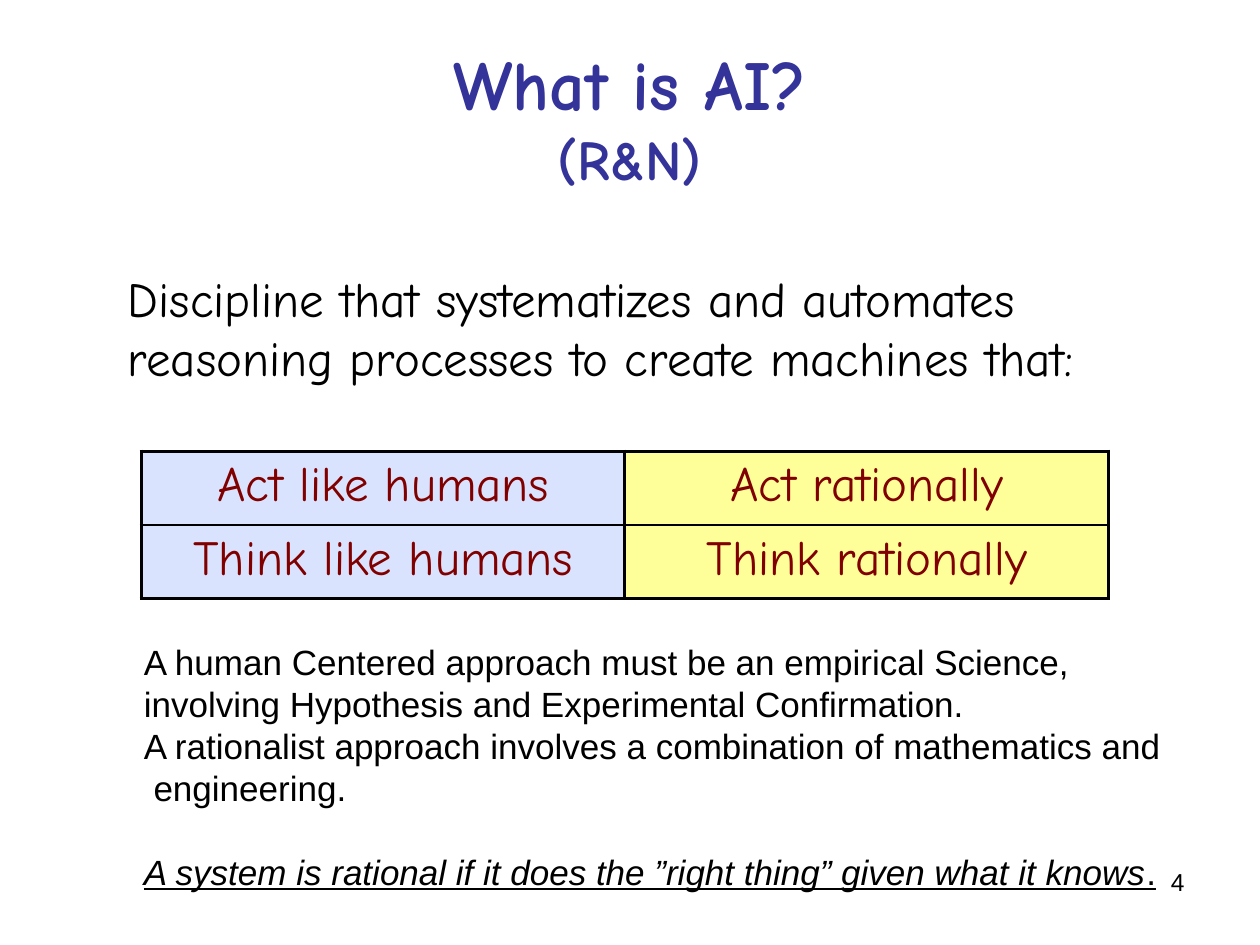
import pptx
import pptx.util
import pptx.dml.color
import pptx.enum.shapes
import pptx.enum.text
import pptx.oxml.ns
from lxml import etree

Cm = pptx.util.Cm
Pt = pptx.util.Pt
RGBColor = pptx.dml.color.RGBColor
ALIGN = pptx.enum.text.PP_ALIGN
qn = pptx.oxml.ns.qn

BLACK = RGBColor(0, 0, 0)
NAVY = RGBColor(0x33, 0x33, 0x99)
MAROON = RGBColor(0x80, 0, 0)
PALE_BLUE = RGBColor(0xDA, 0xE3, 0xFE)
PALE_YELLOW = RGBColor(0xFF, 0xFF, 0x99)
HAND = "Comic Neue"
SANS = "Arial"

TITLE = [("What is AI?", 40), ("(R&N)", 32)]
INTRO = ("Discipline that systematizes and automates reasoning processes "
         "to create machines that:")
GRID = [["Act like humans", "Act rationally"],
        ["Think like humans", "Think rationally"]]
NOTES = ["A human Centered approach must be an empirical Science,",
         "involving Hypothesis and Experimental Confirmation.",
         "A rationalist approach involves a combination of mathematics and",
         " engineering."]
DEFINITION = "A system is rational if it does the ”right thing” given what it knows"
PAGE_NUMBER = "4"

GRID_LEFT, GRID_TOP = 2.85, 9.1
COLUMN_WIDTH = 9.75
ROW_HEIGHTS = [1.48, 1.49]
PANELS = [(2.87, 9.7, PALE_BLUE), (12.57, 9.78, PALE_YELLOW)]
OUTER, INNER = 2.25, 1


def add_span(para, text, size, font=SANS, color=BLACK, bold=False):
    span = para.add_run()
    span.text = text
    span.font.size = Pt(size)
    span.font.name = font
    span.font.bold = bold
    span.font.color.rgb = color
    return span


def add_box(page, left, top, width, height):
    frame = page.shapes.add_textbox(Cm(left), Cm(top), Cm(width), Cm(height)).text_frame
    frame.word_wrap = True
    return frame


def set_borders(cell, widths):
    """Draw black borders; widths maps each side tag to points."""
    properties = cell._tc.get_or_add_tcPr()
    for position, (side, width) in enumerate(widths.items()):
        line = etree.Element(qn("a:" + side), w=str(Pt(width)))
        fill = etree.SubElement(line, qn("a:solidFill"))
        etree.SubElement(fill, qn("a:srgbClr"), val=str(BLACK))
        properties.insert(position, line)


def add_title(page):
    title = page.shapes.title
    title.left, title.top, title.width, title.height = Cm(1.27), Cm(0.76), Cm(22.86), Cm(3.18)
    title.text_frame.vertical_anchor = pptx.enum.text.MSO_ANCHOR.MIDDLE
    para = title.text_frame.paragraphs[0]
    para.alignment = ALIGN.CENTER
    for index, (text, size) in enumerate(TITLE):
        if index:
            para.add_line_break()
        add_span(para, text, size, HAND, NAVY, True)


def add_grid(page):
    height = sum(ROW_HEIGHTS)
    for left, width, color in PANELS:
        panel = page.shapes.add_shape(pptx.enum.shapes.MSO_SHAPE.RECTANGLE,
                                      Cm(left), Cm(GRID_TOP), Cm(width), Cm(height))
        panel.shadow.inherit = False
        panel.fill.solid()
        panel.fill.fore_color.rgb = color
        panel.line.color.rgb = BLACK
        panel.line.width = Pt(0.75)

    rows, columns = len(GRID), len(GRID[0])
    table = page.shapes.add_table(rows, columns, Cm(GRID_LEFT), Cm(GRID_TOP),
                                  Cm(COLUMN_WIDTH * columns), Cm(height)).table
    table.first_row = table.horz_banding = False
    for column in table.columns:
        column.width = Cm(COLUMN_WIDTH)
    for r, texts in enumerate(GRID):
        table.rows[r].height = Cm(ROW_HEIGHTS[r])
        for c, text in enumerate(texts):
            cell = table.cell(r, c)
            cell.fill.background()
            para = cell.text_frame.paragraphs[0]
            para.alignment = ALIGN.CENTER
            add_span(para, text, 28, HAND, MAROON)
            set_borders(cell, {"lnL": INNER if c else OUTER,
                               "lnR": OUTER if c == columns - 1 else INNER,
                               "lnT": INNER if r else OUTER,
                               "lnB": OUTER if r == rows - 1 else INNER})


def add_notes(page):
    frame = add_box(page, 2.65, 12.78, 21.16, 5.38)
    for index, text in enumerate(NOTES):
        para = frame.add_paragraph() if index else frame.paragraphs[0]
        add_span(para, text, 20)
    para = frame.add_paragraph()
    para.space_before = Pt(24)
    for text, italic in [(DEFINITION, True), (".", False)]:
        span = add_span(para, text, 20)
        span.font.italic = italic
        span.font.underline = True


def main():
    deck = pptx.Presentation()
    deck.slide_width, deck.slide_height = Cm(25.4), Cm(19.05)
    page = deck.slides.add_slide(deck.slide_layouts[5])

    number = add_box(page, 18.2, 17.35, 5.93, 1.32).paragraphs[0]
    number.alignment = ALIGN.RIGHT
    add_span(number, PAGE_NUMBER, 14)

    add_grid(page)
    add_title(page)
    add_span(add_box(page, 2.33, 5.29, 21.8, 7.2).paragraphs[0], INTRO, 28, HAND)
    add_notes(page)
    deck.save("out.pptx")


if __name__ == "__main__":
    main()
